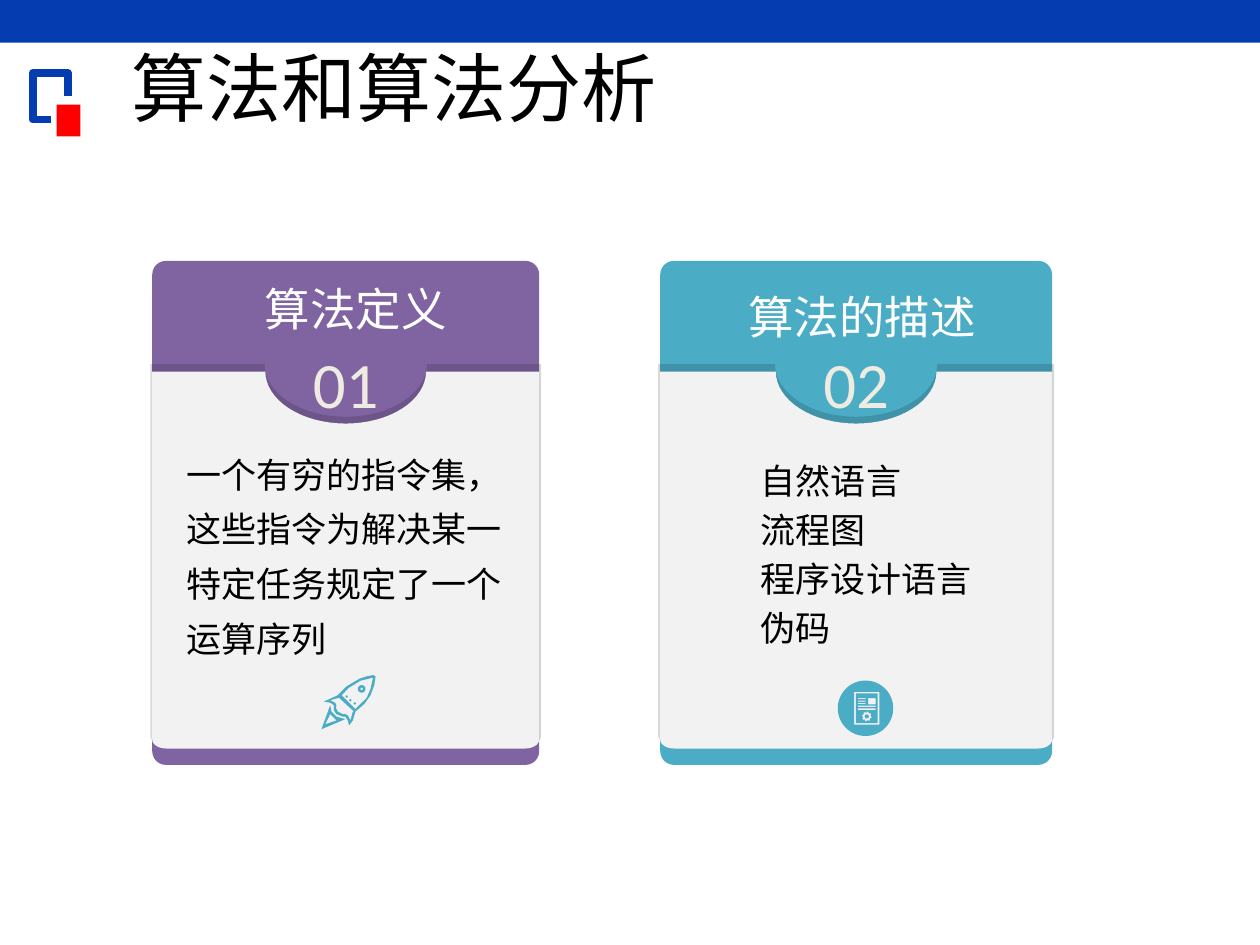
import math
from dataclasses import dataclass

import pptx
import pptx.dml.color
import pptx.enum.shapes
import pptx.enum.text
import pptx.oxml.ns
import pptx.util
from lxml import etree
from pptx.util import Cm

Point = tuple[float, float]
Contour = list[Point]
Box = tuple[float, float, float, float]  # left, top, width, height in cm

BLUE, RED, PURPLE, TEAL = "053CAF", "FF0000", "8064A2", "4BACC6"
BLACK, WHITE, CREAM, PANEL_GREY = "000000", "FFFFFF", "EEECE1", "F2F2F2"
CARD_TOP, CARD_HEIGHT = 5.26, 10.16
PANEL_TOP, PANEL_BOTTOM = 7.49, 15.09
ICON_CELL = 0.0254  # cm per unit of the icon grids


@dataclass
class Line:
    text: str
    spacing: float = 1.0
    before: float = 0
    indent: float = 0


@dataclass
class Card:
    number: str
    color: str
    left: float
    width: float
    heading: Line
    heading_box: Box
    body: list[Line]
    body_box: Box
    icon: list[Contour]
    icon_at: Point


def rgb(color: str) -> pptx.dml.color.RGBColor:
    return pptx.dml.color.RGBColor.from_string(color)


def paint(shape, color: str) -> None:
    shape.shadow.inherit = False
    shape.fill.solid()
    shape.fill.fore_color.rgb = rgb(color)
    shape.line.fill.background()


def add_block(slide, kind, box: Box, color: str):
    block = slide.shapes.add_shape(kind, *map(Cm, box))
    paint(block, color)
    return block


def add_outline(slide, contours: list[Contour], at: Point = (0, 0),
                cell: float = 1, close: bool = True):
    """Join contours into one freeform; inner contours become holes."""
    placed = [[(Cm(at[0] + x * cell), Cm(at[1] + y * cell)) for x, y in contour]
              for contour in contours]
    builder = slide.shapes.build_freeform(*placed[0][0])
    for index, contour in enumerate(placed):
        if index:
            builder.move_to(*contour[0])
        builder.add_line_segments(contour[1:], close=close)
    return builder.convert_to_shape()


def add_text(slide, box: Box, lines: list[Line], size: float, color: str,
             font: str = "Calibri", centred: bool = False, middle: bool = False) -> None:
    frame = slide.shapes.add_textbox(*map(Cm, box)).text_frame
    frame.word_wrap = not centred
    if middle:
        frame.vertical_anchor = pptx.enum.text.MSO_ANCHOR.MIDDLE
    for index, line in enumerate(lines):
        paragraph = frame.add_paragraph() if index else frame.paragraphs[0]
        paragraph.text = line.text
        paragraph.line_spacing = line.spacing
        paragraph.space_before = pptx.util.Pt(line.before)
        paragraph.font.name = font
        paragraph.font.size = pptx.util.Pt(size)
        paragraph.font.color.rgb = rgb(color)
        if centred:
            paragraph.alignment = pptx.enum.text.PP_ALIGN.CENTER
        if line.indent:
            properties = paragraph._p.get_or_add_pPr()
            properties.set("marL", str(Cm(line.indent)))
            properties.set("indent", "0")


def arc(x: float, y: float, rx: float, ry: float,
        start: float = 0, end: float = 360, steps: int = 32) -> Contour:
    angles = [math.radians(start + (end - start) * i / steps) for i in range(steps + 1)]
    return [(x + rx * math.cos(a), y + ry * math.sin(a)) for a in angles]


def rect(x: float, y: float, width: float, height: float) -> Contour:
    return [(x, y), (x + width, y), (x + width, y + height), (x, y + height)]


def gear(x: float, y: float, radius: float, teeth: int = 8) -> Contour:
    points = []
    for i in range(teeth * 4):
        angle = 2 * math.pi * (i + 0.5) / (teeth * 4)
        reach = radius if i % 4 < 2 else radius * 0.78
        points.append((x + reach * math.cos(angle), y + reach * math.sin(angle)))
    return points


ROCKET = [
    # Hull, nose window and lower body
    [(43, 1), (41, 0), (36, 1), (30, 3), (20, 9), (13, 16), (2, 21), (7, 22), (10, 24),
     (10, 28), (12, 31), (17, 33), (19, 33), (21, 36), (22, 40), (25, 36), (27, 29),
     (34, 23), (39, 16), (42, 8)],
    [(33, 21), (27, 27), (16, 16), (22, 10), (31, 4.5), (41, 2), (39, 11), (36, 18)],
    [(25, 29), (23, 36), (21, 32), (19, 31), (17, 31), (13, 29), (11.5, 26), (12, 24),
     (11, 22), (7, 20), (14, 18), (26, 29)],
    # Flame
    [(7, 24), (0, 43), (19, 35), (12, 33), (8, 29)],
    [(3, 39), (7, 31), (9, 33), (12, 36)],
    # Porthole and rivets
    arc(32, 11, 3, 3), arc(32, 11, 1, 1),
    *[arc(x, y, 0.9, 0.9, steps=12) for x, y in [(20, 17), (23, 20), (26.5, 22.5)]],
]

DOCUMENT = [
    arc(22, 22, 22, 22, steps=72),
    rect(13, 9, 20, 26), rect(14.3, 10.2, 17.4, 23.6),
    *[rect(16, y, 6, 0.8) for y in (14, 16, 18)],
    rect(24, 14, 6, 5), rect(16, 20, 14, 1), rect(16, 22, 14, 1.4),
    gear(23, 28.5, 4), arc(23, 28.5, 1.6, 1.6),
]

CARDS = [
    Card("01", PURPLE, 3.07, 7.8,
         Line("算法定义", 0.9, 10, 0.64), (4.45, 5.66, 5.16, 1.55),
         [Line("一个有穷的指令集，这些指令为解决某一特定任务规定了一个运算序列", 1.3)],
         (3.51, 8.76, 7.29, 5.18), ROCKET, (6.48, 13.61)),
    Card("02", TEAL, 13.31, 7.9,
         Line("算法的描述", 1.3), (14.83, 5.38, 5.69, 1.9),
         [Line("自然语言", 1.3, indent=1.27),
          *[Line(text, before=4, indent=1.27) for text in ("流程图", "程序设计语言", "伪码")]],
         (13.82, 8.89, 7.21, 5.46), DOCUMENT, (16.89, 13.72)),
]


def add_upward_shadow(shape) -> None:
    qn = pptx.oxml.ns.qn
    effects = shape._element.spPr.find(qn("a:effectLst"))
    shadow = etree.SubElement(effects, qn("a:outerShdw"), dist=str(pptx.util.Pt(2)),
                              dir="16200000", sx="101000", sy="101000",
                              algn="b", rotWithShape="0")
    tint = etree.SubElement(shadow, qn("a:srgbClr"), val=BLACK)
    etree.SubElement(tint, qn("a:alpha"), val="14000")


def add_card(slide, card: Card) -> None:
    right, middle = card.left + card.width, card.left + card.width / 2
    # Coloured backing
    backing = add_block(slide, pptx.enum.shapes.MSO_SHAPE.ROUNDED_RECTANGLE,
                        (card.left, CARD_TOP, card.width, CARD_HEIGHT), card.color)
    backing.adjustments[0] = 0.035
    # Grey panel with a notch for the number
    corner_x, corner_y = 0.28, 0.18
    base = PANEL_BOTTOM - corner_y
    panel = add_outline(slide, [[
        (card.left, PANEL_TOP),
        *arc(middle, PANEL_TOP, 1.62, 1.05, 180, 0),
        (right, PANEL_TOP),
        *arc(right - corner_x, base, corner_x, corner_y, 0, 90, 8),
        *arc(card.left + corner_x, base, corner_x, corner_y, 90, 180, 8),
    ]])
    paint(panel, PANEL_GREY)
    add_upward_shadow(panel)
    # Number, icon and wording
    add_text(slide, (middle - 0.92, 6.81, 1.84, 1.7), [Line(card.number)], 37, CREAM,
             centred=True)
    paint(add_outline(slide, card.icon, card.icon_at, ICON_CELL), card_icon_color)
    add_text(slide, card.body_box, card.body, 20, BLACK)
    add_text(slide, card.heading_box, [card.heading], 26, WHITE)


card_icon_color = TEAL


def main() -> None:
    deck = pptx.Presentation()
    deck.slide_width, deck.slide_height = Cm(25.4), Cm(19.05)
    slide = deck.slides.add_slide(deck.slide_layouts[6])
    rectangle = pptx.enum.shapes.MSO_SHAPE.RECTANGLE

    # Top banner and corner ornament
    add_block(slide, rectangle, (0, 0, 25.4, 0.86), BLUE)
    bracket = add_outline(slide, [[(1.02, 2.41), (0.66, 2.41), (0.66, 1.47),
                                   (1.37, 1.47), (1.37, 1.93)]], close=False)
    bracket.shadow.inherit = False
    bracket.fill.background()
    bracket.line.color.rgb = rgb(BLUE)
    bracket.line.width = pptx.util.Pt(4.5)
    add_block(slide, rectangle, (1.14, 2.11, 0.48, 0.64), RED)

    # Title and cards
    add_text(slide, (2.41, 0.91, 21.82, 1.9), [Line("算法和算法分析", 0.9)], 42.9, BLACK,
             font="Noto Sans CJK SC", middle=True)
    for card in CARDS:
        add_card(slide, card)

    deck.save("out.pptx")


if __name__ == "__main__":
    main()
